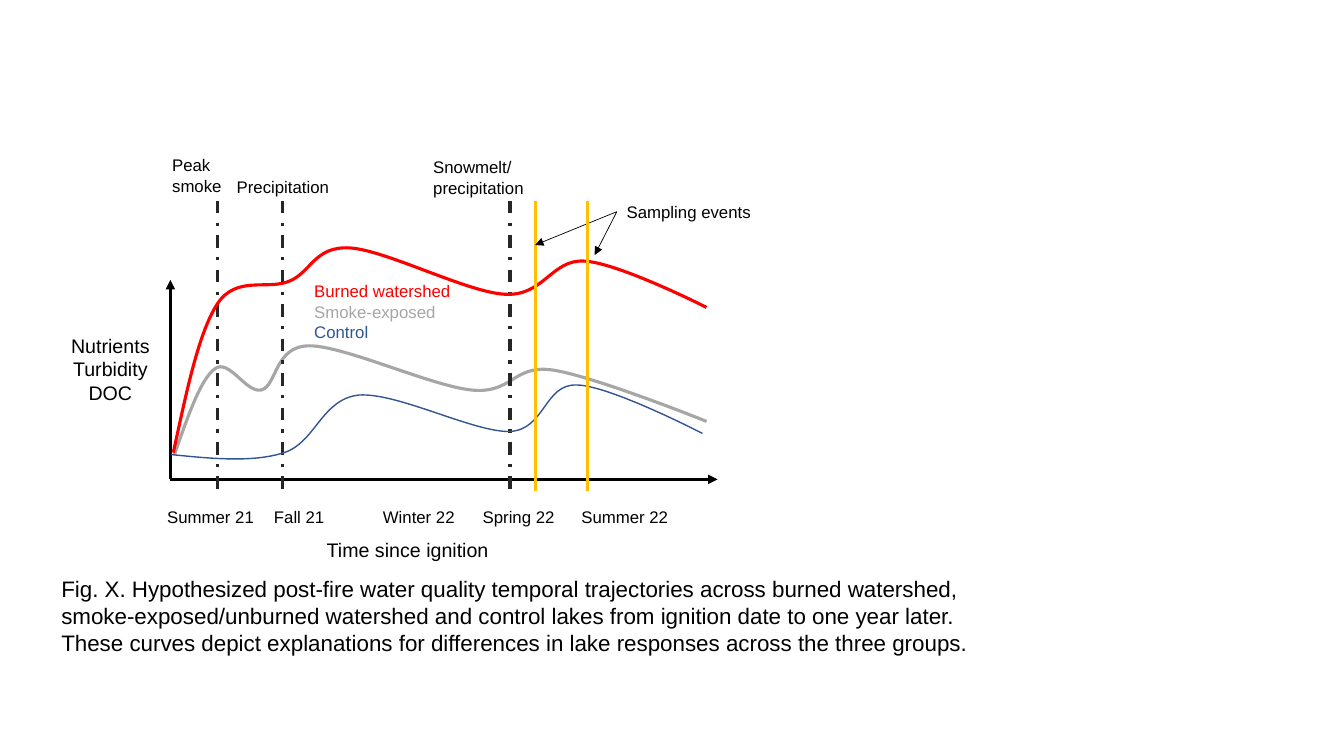
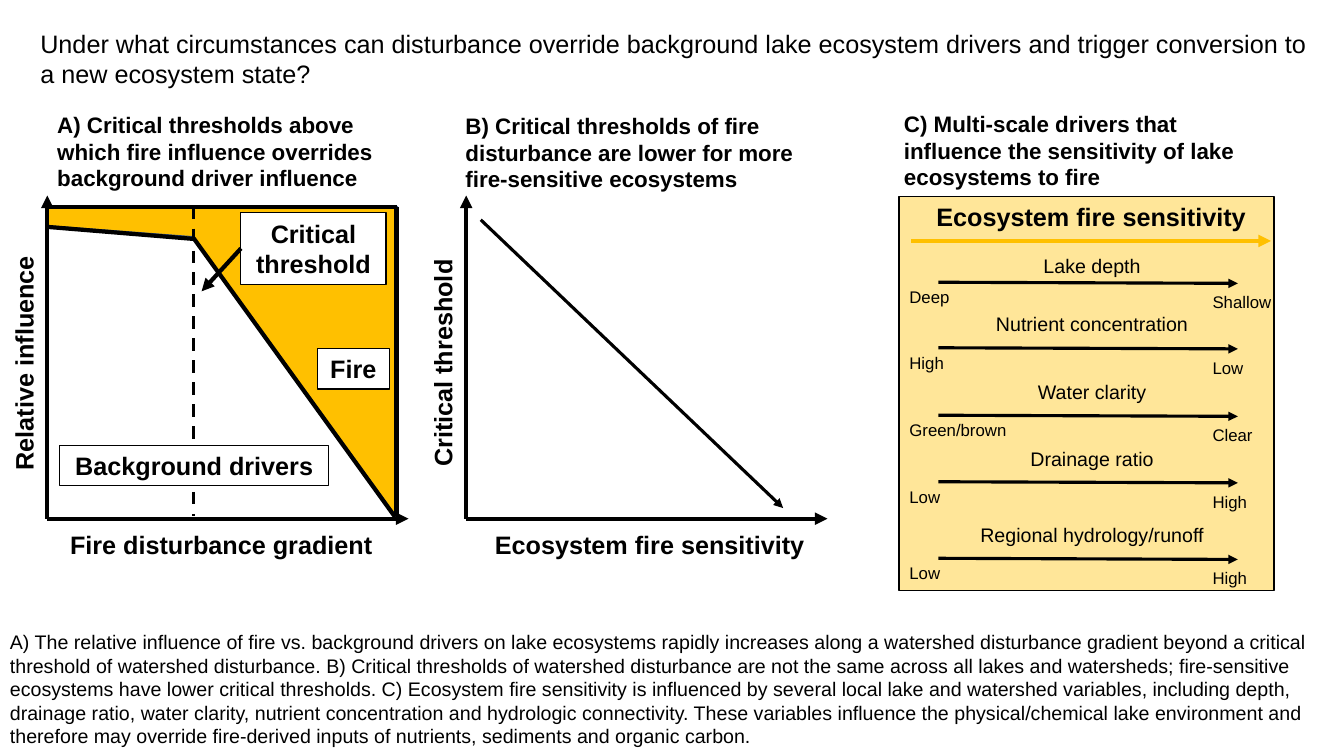
import lxml.etree
import pptx
import pptx.dml.color
import pptx.enum.dml
import pptx.enum.shapes
import pptx.enum.text
import pptx.oxml.ns
import pptx.util

Pt = pptx.util.Pt
qn = pptx.oxml.ns.qn
ALIGN = pptx.enum.text.PP_ALIGN
ANCHOR = pptx.enum.text.MSO_ANCHOR
DASH = pptx.enum.dml.MSO_LINE
RECT = pptx.enum.shapes.MSO_SHAPE.RECTANGLE
STRAIGHT = pptx.enum.shapes.MSO_CONNECTOR.STRAIGHT

FONT = "Arial"
BLACK, WHITE, CHARCOAL = "000000", "FFFFFF", "262626"
GOLD, CREAM = "FFC000", "FFE699"
RED, GRAY, NAVY, BLUE = "FF0000", "A6A6A6", "325491", "2F5597"
TITLE_ONLY, BLANK = 5, 6


def rgb(color):
    return pptx.dml.color.RGBColor.from_string(color)


class Deck:
    """Shared style plus the slide being drawn; all lengths are points."""

    def __init__(self):
        self.prs = pptx.Presentation()
        self.prs.slide_width, self.prs.slide_height = Pt(960), Pt(540)
        self.s = None

    def slide(self, layout=BLANK):
        self.s = self.prs.slides.add_slide(self.prs.slide_layouts[layout])

    def fill_text(self, sp, text, size, color=BLACK, bold=False, align=ALIGN.LEFT, anchor=ANCHOR.TOP):
        tf = sp.text_frame
        tf.text = text
        tf.word_wrap = True
        tf.auto_size = pptx.enum.text.MSO_AUTO_SIZE.NONE
        tf.vertical_anchor = anchor
        for p in tf.paragraphs:
            p.alignment = align
            for r in p.runs:
                r.font.name, r.font.size, r.font.bold = FONT, Pt(size), bold
                r.font.color.rgb = rgb(color)

    def title(self, x, y, w, h, text):
        sp = self.s.shapes.title
        sp.left, sp.top, sp.width, sp.height = Pt(x), Pt(y), Pt(w), Pt(h)
        self.fill_text(sp, text, 18)

    def text(self, x, y, w, h, text, size=12, **style):
        sp = self.s.shapes.add_textbox(Pt(x), Pt(y), Pt(w), Pt(h))
        self.fill_text(sp, text, size, **style)
        return sp

    def box(self, x, y, w, h, text="", fill=WHITE, width=0.75):
        sp = self.s.shapes.add_shape(RECT, Pt(x), Pt(y), Pt(w), Pt(h))
        self.paint(sp, fill, BLACK, width)
        if text:
            self.fill_text(sp, text, 18, bold=True, align=ALIGN.CENTER, anchor=ANCHOR.MIDDLE)
        return sp

    def paint(self, sp, fill, line, width):
        sp.shadow.inherit = False
        if fill:
            sp.fill.solid()
            sp.fill.fore_color.rgb = rgb(fill)
        else:
            sp.fill.background()
        sp.line.color.rgb = rgb(line)
        sp.line.width = Pt(width)

    def line(self, x1, y1, x2, y2, color=BLACK, width=2.25, dash=None, arrow=False, start=None):
        """Draw a line; start is a shape whose left side it leaves from."""
        c = self.s.shapes.add_connector(STRAIGHT, Pt(x1), Pt(y1), Pt(x2), Pt(y2))
        c.line.color.rgb = rgb(color)
        c.line.width = Pt(width)
        if dash:
            c.line.dash_style = dash
        if start is not None:
            c.begin_connect(start, 1)
        spPr = c.element.spPr
        if arrow:
            lxml.etree.SubElement(spPr.find(qn("a:ln")), qn("a:tailEnd"), type="triangle")
        lxml.etree.SubElement(spPr, qn("a:effectLst"))

    def outline(self, points, fill=None, color=NAVY, width=1, close=True):
        start, *rest = [(Pt(x), Pt(y)) for x, y in points]
        builder = self.s.shapes.build_freeform(*start)
        builder.add_line_segments(rest, close=close)
        sp = builder.convert_to_shape()
        self.paint(sp, fill, color, width)
        return sp

    def curve(self, points, color, width=2.25):
        """Draw Bezier segments: a start point, then three points for each segment."""
        sp = self.outline(points, color=color, width=width, close=False)
        segments = list(sp.element.iter(qn("a:lnTo")))
        for i in range(0, len(segments), 3):
            first, *others = segments[i:i + 3]
            bezier = lxml.etree.Element(qn("a:cubicBezTo"))
            first.addprevious(bezier)
            for segment in (first, *others):
                bezier.append(segment[0])
                segment.getparent().remove(segment)

    def axes(self, x, y, right, top, width):
        self.line(x, y, right, y, width=width, arrow=True)
        self.line(x, y, x, top, width=width, arrow=True)

    def panel(self, x, x_label, x_center, y_label):
        """Draw the axes of one graph with its two axis labels."""
        style = dict(size=18, bold=True, align=ALIGN.CENTER)
        self.axes(x, 370.5, x + 258, 139.7, 3)
        self.text(x_center - 131, 374.4, 262, 28.8, x_label, **style)
        self.text(x - 128.5, 245, 223, 28.8, y_label, **style).rotation = 270


def trajectories(d):
    d.slide()
    d.axes(121.7, 342.4, 512.6, 200, 2.25)
    d.text(112.3, 380.9, 357.8, 24.5, "Time since ignition", 14, align=ALIGN.CENTER)
    d.text(6.5, 234.7, 144.7, 58.3, "Nutrients\nTurbidity\nDOC", 14, align=ALIGN.CENTER)
    seasons = [(112.3, "Summer 21"), (188.6, "Fall 21"), (266.4, "Winter 22"),
               (337.7, "Spring 22"), (408.2, "Summer 22")]
    for x, season in seasons:
        d.text(x, 358.6, 85, 21.6, season)

    d.curve([(124.6, 324.7), (133.9, 298.1), (143.3, 270.7), (153.4, 263.5),
             (163.4, 255.6), (175.7, 280.8), (186.5, 278.6),
             (198, 275.8), (195.8, 247), (221, 247),
             (246.2, 247), (308.2, 275.8), (337, 278.6),
             (365.8, 281.5), (366.5, 260.6), (393.8, 264.2),
             (421.9, 267.8), (504.7, 301), (504.7, 301)], GRAY)

    events = [(155.5, 115.9, 107.3, 55.4, 36, "Peak smoke"),
              (201.6, 162, 122.4, 115.2, 21.6, "Precipitation"),
              (364.3, 302.4, 108.7, 83.5, 36, "Snowmelt/\nprecipitation")]
    for x, left, top, w, h, event in events:
        d.line(x, 143.3, x, 350.6, CHARCOAL, dash=DASH.DASH_DOT)
        d.text(left, top, w, h, event)

    d.curve([(123.8, 323.3), (133.2, 280.1), (141.8, 237.6), (155.5, 216.7),
             (169.2, 196.6), (190.8, 207.4), (206.6, 200.9),
             (222.5, 194.4), (224.6, 175.7), (249.8, 177.1),
             (275.8, 178.6), (333.4, 208.8), (360.7, 210.2),
             (388.8, 211.7), (393.8, 185), (417.6, 186.5),
             (442.1, 187.9), (504.7, 219.6), (504.7, 219.6)], RED)
    d.curve([(122.4, 324.7), (151.2, 327.6), (180.7, 330.5), (203, 323.3),
             (225.4, 316.1), (229.7, 285.1), (256.3, 282.2),
             (283.7, 280.1), (338.4, 308.9), (364.3, 308.2),
             (389.5, 306.7), (388.8, 274.3), (411.8, 275),
             (434.9, 275), (501.8, 309.6), (501.8, 309.6)], NAVY, 1)

    legend = d.text(217.4, 197.3, 120.2, 51.1, "Burned watershed\nSmoke-exposed\nControl")
    for p, color in zip(legend.text_frame.paragraphs, (RED, GRAY, BLUE)):
        p.runs[0].font.color.rgb = rgb(color)

    sampling = d.text(440.6, 140.4, 115.2, 21.6, "Sampling events")
    for x, tip_x, tip_y in [(382.3, 382.3, 175), (419.8, 424.8, 182.2)]:
        d.line(x, 143.3, x, 350.6, GOLD)
        d.line(440.6, 151.2, tip_x, tip_y, width=0.5, arrow=True, start=sampling)

    d.text(36.7, 407.5, 681, 65.5,
           "Fig. X. Hypothesized post-fire water quality temporal trajectories across burned "
           "watershed, smoke-exposed/unburned watershed and control lakes from ignition date to "
           "one year later. These curves depict explanations for differences in lake responses "
           "across the three groups.", 16)


def thresholds(d):
    d.slide(TITLE_ONLY)
    d.title(21.6, 16.6, 925, 51,
            "Under what circumstances can disturbance override background lake ecosystem drivers "
            "and trigger conversion to a new ecosystem state?")
    headings = [
        (33.8, 75.6, 248.4, "A) Critical thresholds above which fire influence overrides "
                            "background driver influence"),
        (325.4, 76.3, 281.5, "B) Critical thresholds of fire disturbance are lower for more "
                             "fire-sensitive ecosystems"),
        (638.6, 74.9, 281.5, "C) Multi-scale drivers that influence the sensitivity of lake "
                             "ecosystems to fire")]
    for x, y, w, heading in headings:
        d.text(x, y, w, 65.5, heading, 16, bold=True)

    # Panel A
    d.outline([(33.8, 161.3), (34.2, 147.6), (283.7, 147.6), (284.4, 370.8), (138.2, 169.2)], GOLD)
    d.panel(33.8, "Fire disturbance gradient", 158, "Relative influence")
    for ends in [(33.1, 162, 137.5, 170.6), (33.8, 147.6, 283.7, 147.6),
                 (283.2, 147.6, 283.2, 368), (138.2, 170, 282.3, 369.4)]:
        d.line(*ends, width=3)
    d.line(138.2, 147.6, 138.2, 368.6, dash=DASH.DASH)
    d.box(226.8, 249.1, 51.1, 28.8, "Fire")
    d.box(42.5, 318.2, 192.5, 28.8, "Background drivers")
    threshold = d.box(172.1, 151.9, 103.7, 51.1, "Critical threshold")
    d.line(172.1, 177.5, 144, 208.1, width=3, arrow=True, start=threshold)

    # Panel B
    d.panel(333, "Ecosystem fire sensitivity", 464, "Critical threshold")
    d.line(343.4, 157, 559.4, 362.9, arrow=True)

    # Panel C
    d.box(642.2, 140.4, 267.8, 281.5, fill=CREAM, width=1)
    d.text(648.7, 140.4, 261.4, 28.8, "Ecosystem fire sensitivity", 18, bold=True, align=ALIGN.CENTER)
    d.line(650.9, 172.1, 907.9, 172.1, GOLD, 3, arrow=True)
    drivers = [(177.8, 202, "Lake depth", "Deep", "Shallow"),
               (219.6, 248.8, "Nutrient concentration", "High", "Low"),
               (267.8, 297, "Water clarity", "Green/brown", "Clear"),
               (315.4, 344.5, "Drainage ratio", "Low", "High"),
               (370.1, 399.2, "Regional hydrology/runoff", "Low", "High")]
    for top, y, driver, low, high in drivers:
        d.text(651.6, top, 257, 24.5, driver, 14, align=ALIGN.CENTER)
        d.line(670.3, y - 0.4, 884.2, y + 0.4, arrow=True)
        d.text(642.5, y - 0.6, 130.3, 21.6, low)
        d.text(859, y + 3, 63.4, 21.6, high)

    d.text(0, 446.4, 960, 92.2,
           "A) The relative influence of fire vs. background drivers on lake ecosystems rapidly "
           "increases along a watershed disturbance gradient beyond a critical threshold of "
           "watershed disturbance. B) Critical thresholds of watershed disturbance are not the "
           "same across all lakes and watersheds; fire-sensitive ecosystems have lower critical "
           "thresholds. C) Ecosystem fire sensitivity is influenced by several local lake and "
           "watershed variables, including depth, drainage ratio, water clarity, nutrient "
           "concentration and hydrologic connectivity. These variables influence the "
           "physical/chemical lake environment and therefore may override fire-derived inputs of "
           "nutrients, sediments and organic carbon.", 14)


def main():
    d = Deck()
    trajectories(d)
    thresholds(d)
    d.prs.save("out.pptx")


if __name__ == "__main__":
    main()
